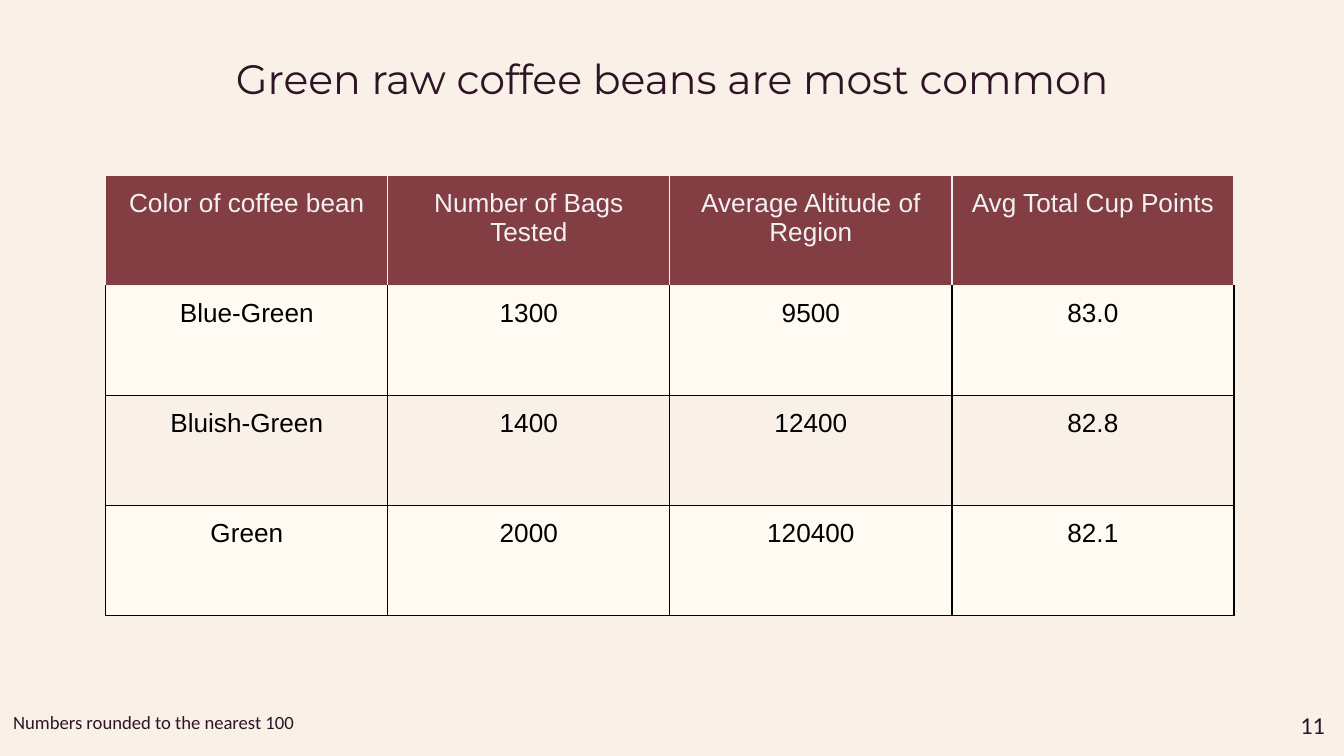
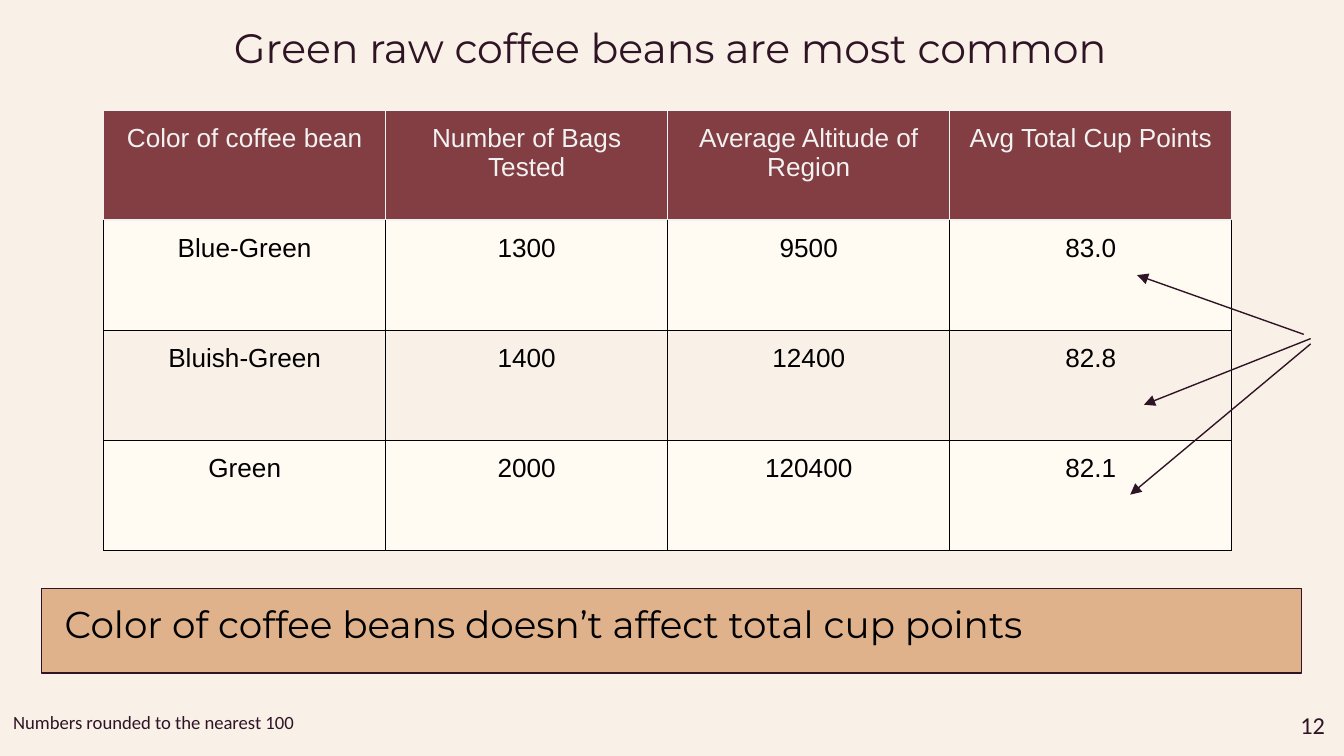
from lxml import etree
from pptx import Presentation, util as u
from pptx.dml.color import RGBColor
from pptx.enum import shapes, text
from pptx.oxml.ns import qn

INK, BLACK, PALE = "2F1425", "000000", "F2F2F2"
CREAM, IVORY, WINE, TAN = "F9F0E8", "FFFAF2", "823E43", "DFB28B"

TITLE = "Green raw coffee beans are most common"
FOOTNOTE = "Numbers rounded to the nearest 100"
CONCLUSION = "Color of coffee beans doesn’t affect total cup points"
BEANS = [
    ("Color of coffee bean", "Number of Bags Tested",
     "Average Altitude of Region", "Avg Total Cup Points"),
    ("Blue-Green", "1300", "9500", "83.0"),
    ("Bluish-Green", "1400", "12400", "82.8"),
    ("Green", "2000", "120400", "82.1"),
]
# Lengths in centimetres
PAGES = [
    {"number": 11, "left": 2.0, "title_top": 0.76, "table_top": 3.32},
    {"number": 12, "left": 1.96, "title_top": 0.18, "table_top": 2.08},
]
ARROWS = [  # start, end
    ((24.64, 6.32), (21.49, 5.2)),
    ((24.77, 6.4), (21.62, 7.65)),
    ((24.77, 6.5), (21.36, 9.35)),
]
COLUMN_WIDTH, ROW_HEIGHT = 5.33, 2.08
BAR_TOP, BAR_HEIGHT = 11.12, 1.6
FOOTER_TOP, FOOTER_HEIGHT = 13.18, 1.09
INSET = 0.25
LEFT, CENTER, RIGHT = text.PP_ALIGN.LEFT, text.PP_ALIGN.CENTER, text.PP_ALIGN.RIGHT


def cm(*lengths):
    return [u.Cm(length) for length in lengths]


def rgb(color):
    return RGBColor.from_string(color)


def fill_with(thing, color):
    thing.fill.solid()
    thing.fill.fore_color.rgb = rgb(color)


def write(frame, words, font, size, color, align=LEFT):
    frame.text = words
    para = frame.paragraphs[0]
    para.alignment = align
    para.font.name, para.font.size, para.font.bold = font, u.Pt(size), False
    para.font.color.rgb = rgb(color)


def set_up_box(box, place, *style):
    box.left, box.top, box.width, box.height = cm(*place)
    frame = box.text_frame
    frame.word_wrap = True
    frame.auto_size = text.MSO_AUTO_SIZE.NONE
    frame.vertical_anchor = text.MSO_ANCHOR.TOP
    frame.margin_left = frame.margin_right = u.Cm(INSET)
    frame.margin_top = frame.margin_bottom = u.Cm(INSET)
    write(frame, *style)


def add_text(page, place, *style):
    set_up_box(page.shapes.add_textbox(*cm(*place)), place, *style)


def add_borders(cell, color, top_color):
    properties = cell._tc.get_or_add_tcPr()
    for side in "LRTB":
        line = etree.SubElement(properties, qn(f"a:ln{side}"), w=str(u.Pt(0.75)))
        solid = etree.SubElement(line, qn("a:solidFill"))
        etree.SubElement(solid, qn("a:srgbClr"),
                         val=top_color if side == "T" else color)


def add_bean_table(page, left, top):
    rows, columns = len(BEANS), len(BEANS[0])
    table = page.shapes.add_table(
        rows, columns,
        *cm(left, top, columns * COLUMN_WIDTH, rows * ROW_HEIGHT)).table
    table.horz_banding = False
    for column in table.columns:
        column.width = u.Cm(COLUMN_WIDTH)
    for r, values in enumerate(BEANS):
        table.rows[r].height = u.Cm(ROW_HEIGHT)
        ink = BLACK if r else PALE
        fill = (IVORY if r % 2 else CREAM) if r else WINE
        for c, value in enumerate(values):
            cell = table.cell(r, c)
            add_borders(cell, ink, PALE if r < 2 else BLACK)
            fill_with(cell, fill)
            cell.margin_left = cell.margin_right = u.Cm(INSET)
            cell.margin_top = cell.margin_bottom = u.Cm(INSET)
            write(cell.text_frame, value, "Arial", 14, ink, CENTER)


def add_arrow(page, start, end):
    arrow = page.shapes.add_connector(
        shapes.MSO_CONNECTOR.STRAIGHT, *cm(*start, *end))
    arrow.line.color.rgb = rgb(INK)
    arrow.line.width = u.Pt(0.75)
    etree.SubElement(arrow.line._get_or_add_ln(), qn("a:tailEnd"), type="triangle")
    etree.SubElement(arrow._element.spPr, qn("a:effectLst"))


def add_conclusion(page):
    bar = page.shapes.add_shape(
        shapes.MSO_SHAPE.RECTANGLE, *cm(0.78, BAR_TOP, 23.82, BAR_HEIGHT))
    bar.shadow.inherit = False
    fill_with(bar, TAN)
    bar.line.color.rgb = rgb(INK)
    bar.line.width = u.Pt(0.75)
    add_text(page, (0.97, BAR_TOP, 24.33, BAR_HEIGHT),
             CONCLUSION, "Montserrat", 20, BLACK)


def add_page(deck, number, left, title_top, table_top):
    page = deck.slides.add_slide(deck.slide_layouts.get_by_name("Title Only"))
    set_up_box(page.shapes.title, (left, title_top, 21.41, 1.6),
               TITLE, "Montserrat", 22, INK, CENTER)
    add_bean_table(page, left, table_top)
    add_text(page, (23.77, FOOTER_TOP, 1.52, FOOTER_HEIGHT),
             str(number), "Calibri", 13, INK, RIGHT)
    add_text(page, (0, FOOTER_TOP, 9.4, FOOTER_HEIGHT),
             FOOTNOTE, "Calibri", 10, INK)
    return page


def main():
    deck = Presentation()
    deck.slide_width, deck.slide_height = cm(25.4, 14.29)
    fill_with(deck.slide_master.background, CREAM)
    _, summary = [add_page(deck, **settings) for settings in PAGES]
    for start, end in ARROWS:
        add_arrow(summary, start, end)
    add_conclusion(summary)
    deck.save("out.pptx")


if __name__ == "__main__":
    main()
